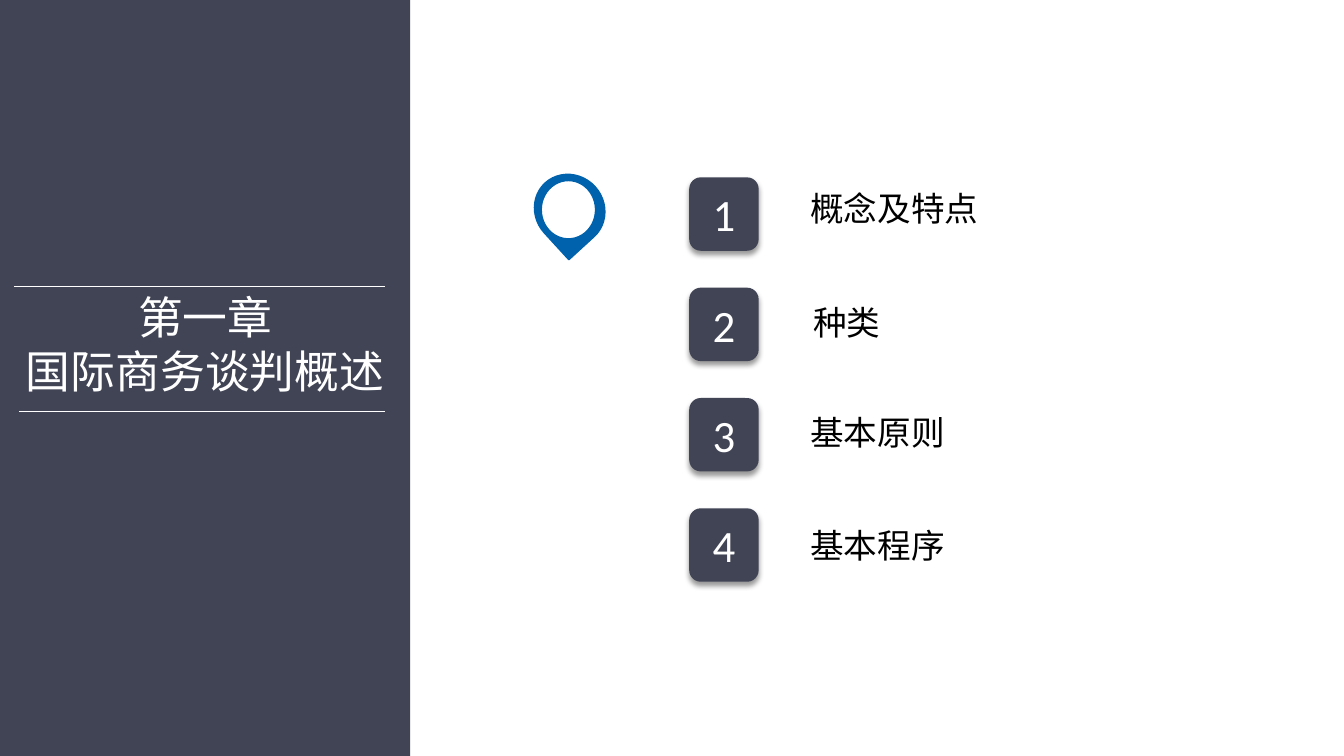
from lxml import etree
from pptx import Presentation
from pptx.dml.color import RGBColor
from pptx.enum import shapes, text
from pptx.oxml import ns
from pptx.util import Cm, Pt

COLORS = {"navy": "414455", "blue": "0062AC", "white": "FFFFFF", "black": "000000"}
MSO = shapes.MSO_SHAPE
CENTER, LEFT = text.PP_ALIGN.CENTER, text.PP_ALIGN.LEFT

prs = Presentation()
prs.slide_width, prs.slide_height = Cm(33.87), Cm(19.05)
s = prs.slides.add_slide(prs.slide_layouts[6])


def add_shape(kind, x, y, w, h, fill, line=None):
    sp = s.shapes.add_shape(kind, Cm(x), Cm(y), Cm(w), Cm(h))
    sp.shadow.inherit = False
    sp.fill.solid()
    sp.fill.fore_color.rgb = RGBColor.from_string(COLORS[fill])
    if line:
        sp.line.color.rgb = RGBColor.from_string(COLORS[line])
        sp.line.width = Pt(1)
    else:
        sp.line.fill.background()
    return sp


def write(sp, lines, font, size, color, align, wrap):
    tf = sp.text_frame
    tf.word_wrap = wrap
    tf.vertical_anchor = text.MSO_ANCHOR.MIDDLE
    for i, line in enumerate(lines):
        p = tf.add_paragraph() if i else tf.paragraphs[0]
        p.alignment = align
        r = p.add_run()
        r.text = line
        for name, value in {"name": font, "size": Pt(size)}.items():
            setattr(r.font, name, value)
        r.font.color.rgb = RGBColor.from_string(COLORS[color])
        if font.startswith("Noto"):
            ea = etree.SubElement(r.font._element, ns.qn("a:ea"))
            ea.set("typeface", font)
    return tf


# Side panel with chapter title
add_shape(MSO.RECTANGLE, 0, 0, 10.34, 19.05, "navy")
title = s.shapes.add_textbox(Cm(0.36), Cm(7.16), Cm(9.63), Cm(3))
tf = write(title, ["第一章", "国际商务谈判概述"], "Times New Roman", 32, "white", CENTER, False)
for p in tf.paragraphs:
    p.line_spacing = Pt(38.5)

# Numbered topics: label, left, top
topics = [("概念及特点", 20.17, 4.62), ("种类", 20.24, 7.49),
          ("基本原则", 20.17, 10.26), ("基本程序", 20.17, 13.11)]
for i, (label, x, y) in enumerate(topics):
    badge = add_shape(MSO.ROUNDED_RECTANGLE, 17.37, 4.47 + 2.78 * i, 1.75, 1.85, "navy")
    write(badge, [str(i + 1)], "Calibri", 32, "white", CENTER, True)
    effects = badge._element.spPr.find(ns.qn("a:effectLst"))
    shadow = etree.SubElement(effects, ns.qn("a:outerShdw"), blurRad=str(Pt(4)),
                              dist=str(Pt(3)), dir="5400000", rotWithShape="0")
    tint = etree.SubElement(shadow, ns.qn("a:srgbClr"), val=COLORS["black"])
    etree.SubElement(tint, ns.qn("a:alpha"), val="40000")

    box = s.shapes.add_textbox(Cm(x), Cm(y), Cm(0.54 + 0.85 * len(label)), Cm(1.27))
    write(box, [label], "Noto Sans CJK SC", 24, "black", LEFT, False)

# Location pin beside the first topic
pin = add_shape(MSO.TEAR, 13.49, 4.37, 1.73, 1.83, "blue", "blue")
pin.rotation = 137.5
add_shape(MSO.OVAL, 13.64, 4.55, 1.37, 1.47, "white", "blue")

# Rules above and below the title
for x, y in [(0.36, 7.21), (0.48, 10.36)]:
    rule = s.shapes.add_connector(shapes.MSO_CONNECTOR.STRAIGHT, Cm(x), Cm(y), Cm(9.7), Cm(y))
    rule.line.color.rgb = RGBColor.from_string(COLORS["white"])
    rule.line.width = Pt(0.5)
    etree.SubElement(rule._element.spPr, ns.qn("a:effectLst"))

prs.save("out.pptx")
